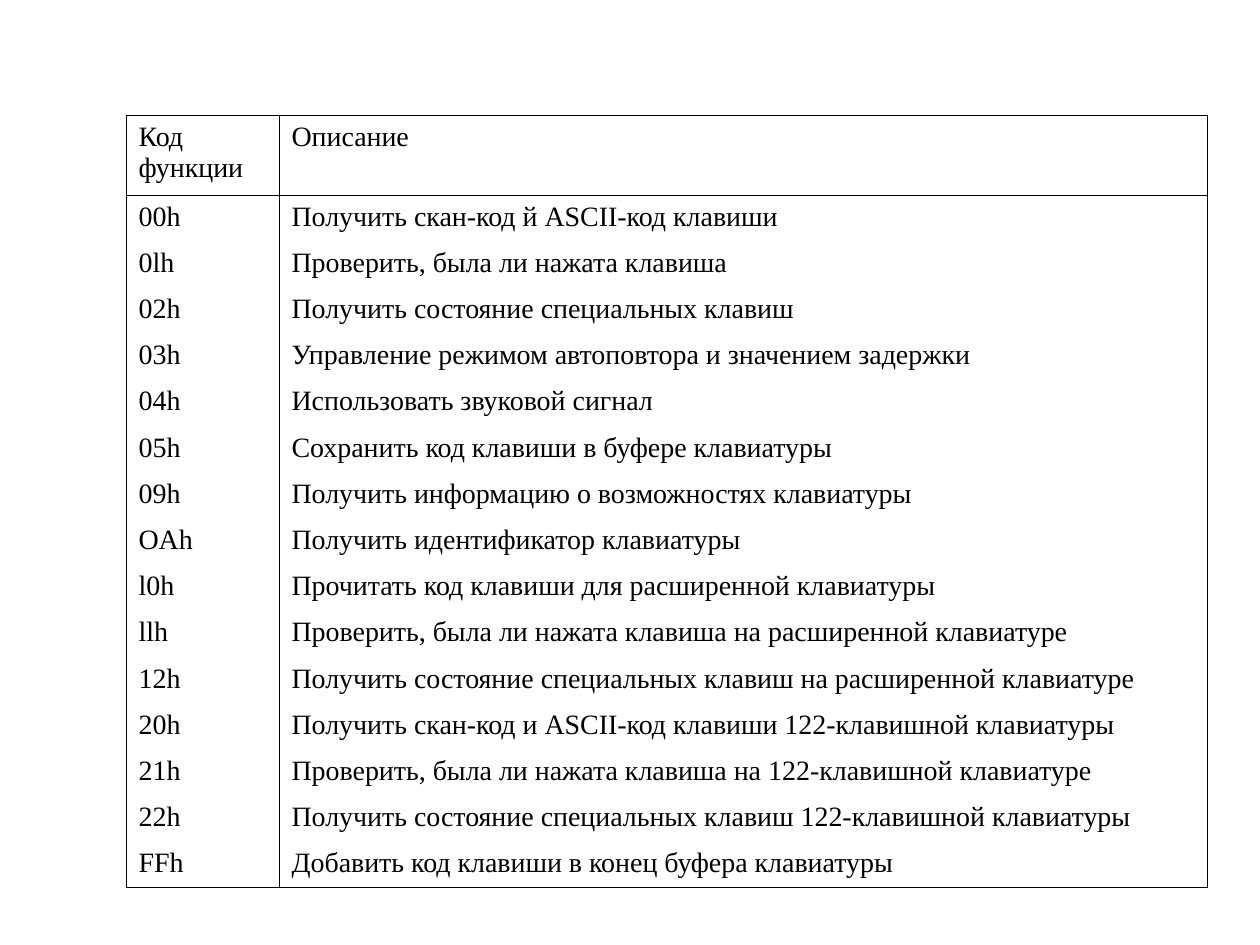
from typing import NamedTuple

from lxml import etree
from pptx import Presentation
from pptx.dml.color import RGBColor
from pptx.oxml.ns import qn
from pptx.util import Emu, Pt

PX = 914400 / 126
BLANK_LAYOUT = 6
COLORS = {"ink": "000000"}
FONT = {"name": "Times New Roman", "size": Pt(16), "bold": False}
BORDER_WIDTH = Pt(0.45)
LEFT, TOP = 126, 115
COLUMN_WIDTHS = (153, 928)
HEADER_HEIGHT, BODY_HEIGHT = 80, 693


class Function(NamedTuple):
    code: str
    description: str


HEADER = Function("Код функции", "Описание")
FUNCTIONS = [
    Function("00h", "Получить скан-код й ASCII-код клавиши"),
    Function("0lh", "Проверить, была ли нажата клавиша"),
    Function("02h", "Получить состояние специальных клавиш"),
    Function("03h", "Управление режимом автоповтора и значением задержки"),
    Function("04h", "Использовать звуковой сигнал"),
    Function("05h", "Сохранить код клавиши в буфере клавиатуры"),
    Function("09h", "Получить информацию о возможностях клавиатуры"),
    Function("OAh", "Получить идентификатор клавиатуры"),
    Function("l0h", "Прочитать код клавиши для расширенной клавиатуры"),
    Function("llh", "Проверить, была ли нажата клавиша на расширенной клавиатуре"),
    Function("12h", "Получить состояние специальных клавиш на расширенной клавиатуре"),
    Function("20h", "Получить скан-код и ASCII-код клавиши 122-клавишной клавиатуры"),
    Function("21h", "Проверить, была ли нажата клавиша на 122-клавишной клавиатуре"),
    Function("22h", "Получить состояние специальных клавиш 122-клавишной клавиатуры"),
    Function("FFh", "Добавить код клавиши в конец буфера клавиатуры"),
]


def px(length: float) -> Emu:
    return Emu(round(length * PX))


def set_borders(cell, sides: str) -> None:
    """Rule the sides named by the letters L, R, T and B; clear the others."""
    tcPr = cell._tc.get_or_add_tcPr()
    for side in "LRTB":
        ln = etree.SubElement(tcPr, qn(f"a:ln{side}"), w=str(int(BORDER_WIDTH)))
        if side in sides:
            fill = etree.SubElement(ln, qn("a:solidFill"))
            etree.SubElement(fill, qn("a:srgbClr"), val=COLORS["ink"])
        else:
            etree.SubElement(ln, qn("a:noFill"))


def fill_cell(cell, text: str, sides: str) -> None:
    set_borders(cell, sides)
    cell.fill.background()
    r = cell.text_frame.paragraphs[0].add_run()
    r.text = text
    for name, value in FONT.items():
        setattr(r.font, name, value)
    r.font.color.rgb = RGBColor.from_string(COLORS["ink"])


def add_function_table(s, rows: list[Function]) -> None:
    frame = s.shapes.add_table(
        len(rows), len(COLUMN_WIDTHS), px(LEFT), px(TOP),
        px(sum(COLUMN_WIDTHS)), px(HEADER_HEIGHT + BODY_HEIGHT))
    table = frame.table
    table.first_row = table.horz_banding = False
    for column, width in zip(table.columns, COLUMN_WIDTHS):
        column.width = px(width)
    last = len(rows) - 1
    for i, function in enumerate(rows):
        table.rows[i].height = px(BODY_HEIGHT / last if i else HEADER_HEIGHT)
        sides = "LR" + ("T" if i <= 1 else "") + ("B" if i in (0, last) else "")
        for j, text in enumerate(function):
            fill_cell(table.cell(i, j), text, sides)


def main() -> None:
    prs = Presentation()
    prs.slide_width, prs.slide_height = px(1260), px(945)
    s = prs.slides.add_slide(prs.slide_layouts[BLANK_LAYOUT])
    add_function_table(s, [HEADER, *FUNCTIONS])
    prs.save("out.pptx")


if __name__ == "__main__":
    main()
